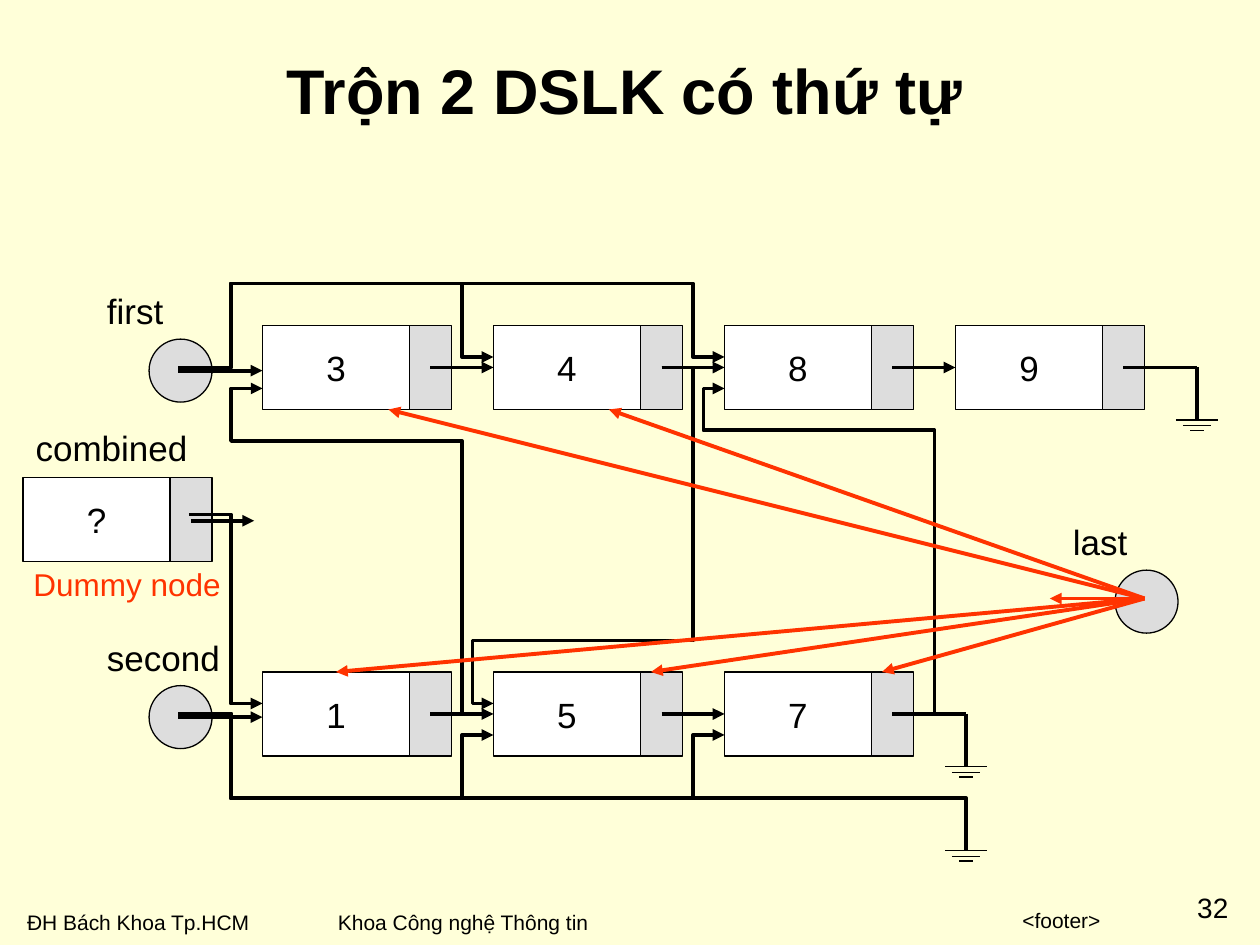
from lxml import etree
from pptx import Presentation
from pptx import util as u
from pptx.dml.color import RGBColor
from pptx.enum import shapes, text
from pptx.oxml.ns import qn

COLORS = {"paper": "FFFFD9", "ink": "000000", "cell": "FFFFFF",
          "link": "DDDDDD", "accent": "FF3300"}
UNIT = u.Inches(1) // 12
COL0, PITCH = 25, 22
TOP, BOTTOM = 31, 64
VALUE_W, LINK_W, NODE_H = 14, 4, 8
DOT = 6


def g(n):
    return u.Emu(round(n * UNIT))


def col(i):
    return COL0 + i * PITCH


def color(name):
    return RGBColor.from_string(COLORS[name])


def write(sp, content, size=20, ink="ink", bold=False, align="LEFT",
          anchor="TOP", wrap=False, grow=False, inset=True):
    tf = sp.text_frame
    tf.word_wrap = wrap
    tf.auto_size = getattr(text.MSO_AUTO_SIZE, "SHAPE_TO_FIT_TEXT" if grow else "NONE")
    tf.vertical_anchor = getattr(text.MSO_ANCHOR, anchor)
    tf.margin_left = tf.margin_right = u.Inches(0.1 if inset else 0)
    tf.margin_top = tf.margin_bottom = u.Inches(0.05 if inset else 0)
    p = tf.paragraphs[0]
    p.alignment = getattr(text.PP_ALIGN, align)
    r = p.add_run()
    r.text = content
    r.font.name, r.font.size, r.font.bold = "Arial", u.Pt(size), bold
    r.font.color.rgb = color(ink)


def label(s, content, x, y, w, h=5.25, **fmt):
    sp = s.shapes.add_textbox(g(x), g(y), g(w), g(h))
    write(sp, content, grow=True, **fmt)


def block(s, kind, x, y, w, h, fill):
    sp = s.shapes.add_shape(kind, g(x), g(y), g(w), g(h))
    sp.shadow.inherit = False
    sp.fill.solid()
    sp.fill.fore_color.rgb = color(fill)
    sp.line.color.rgb = color("ink")
    sp.line.width = u.Pt(0.75)
    return sp


def node(s, value, x, y):
    rect = shapes.MSO_SHAPE.RECTANGLE
    sp = block(s, rect, x, y, VALUE_W, NODE_H, "cell")
    write(sp, value, align="CENTER", anchor="MIDDLE")
    block(s, rect, x + VALUE_W, y, LINK_W, NODE_H, "link")


def pointer(s, name, x, y, dx, dy, w):
    block(s, shapes.MSO_SHAPE.OVAL, x, y, DOT, DOT, "link")
    label(s, name, x + dx, y + dy, w)


def stroke(sp, ink, width, arrow):
    sp.line.color.rgb = color(ink)
    sp.line.width = u.Pt(width)
    if arrow:
        etree.SubElement(sp.line._get_or_add_ln(), qn("a:tailEnd"), type="triangle")


def line(s, x1, y1, x2, y2, ink="ink", width=2.25, arrow=False):
    sp = s.shapes.add_connector(shapes.MSO_CONNECTOR.STRAIGHT, g(x1), g(y1), g(x2), g(y2))
    stroke(sp, ink, width, arrow)
    etree.SubElement(sp._element.spPr, qn("a:effectLst"))


def route(s, *points, arrow=True):
    pts = [(g(x), g(y)) for x, y in points]
    fb = s.shapes.build_freeform(*pts[0])
    fb.add_line_segments(pts[1:], close=False)
    sp = fb.convert_to_shape()
    sp.shadow.inherit = False
    sp.fill.background()
    stroke(sp, "ink", 2.25, arrow)


def ground(s, x, y):
    for half, dy in ((2, 0), (1.35, 0.55), (0.65, 1)):
        line(s, x - half, y + dy, x + half, y + dy, width=0.75)


def linked_list(s, name, values, y, label_w):
    mid = y + 4
    for i, value in enumerate(values):
        node(s, value, col(i), y)
    pointer(s, name, 14.2, y + 1.3, -5.2, -5.3, label_w)
    line(s, 17, mid + 0.3, COL0, mid + 0.3, arrow=True)
    for i in range(len(values) - 1):
        line(s, col(i) + 16, mid, col(i + 1), mid, arrow=True)
    x = col(len(values) - 1) + 16
    line(s, x, mid, x + 7, mid)
    line(s, x + 7, mid, x + 7, mid + 5)
    ground(s, x + 7, mid + 5)


def dummy_node(s):
    node(s, "?", 2.2, 45.5)
    label(s, "Dummy node", 2, 53.2, 20.4, 4.8, size=18, ink="accent")
    label(s, "combined", 2.2, 40, 17.4)
    line(s, 18.2, 49.6, 24.2, 49.6, arrow=True)


def merge_routes(s):
    upper, lower, lane = TOP + 4, BOTTOM + 4, 22
    route(s, (18, 49), (lane, 49), (lane, 67), (COL0, 67))
    for i in (1, 2):
        x = col(i)
        route(s, (17, upper), (lane, upper), (lane, 27), (x - 3, 27),
              (x - 3, 34), (x, 34))
        route(s, (17, lower), (lane, lower), (lane, 76), (x - 3, 76),
              (x - 3, 70), (x, 70))
    route(s, (41, lower), (44, lower), (44, 42), (lane, 42), (lane, 37), (COL0, 37))
    route(s, (63, upper), (66, upper), (66, 61), (45, 61), (45, 67), (47, 67))
    route(s, (85, lower), (89, lower), (89, 41), (67, 41), (67, 37), (69, 37))
    route(s, (18, lower), (lane, lower), (lane, 76), (92, 76), (92, 81), arrow=False)
    ground(s, 92, 81)


def last_pointer(s):
    pointer(s, "last", 106.2, 54.3, -5.2, -5.3, 7.8)
    for x, y in ((100, 57), (32, BOTTOM), (37, 39), (58, 39), (62, BOTTOM), (84, BOTTOM)):
        line(s, 109, 57, x, y, ink="accent", arrow=True)


def footer(s):
    label(s, "ĐH Bách Khoa Tp.HCM", 1.4, 86, 23.8, 3.6, size=12)
    label(s, "<footer>", 38, 85.8, 68, 3.6, size=12, align="RIGHT", wrap=True)
    label(s, "32", 112.9, 84.8, 5.2, 3.2, size=16, align="CENTER", wrap=True, inset=False)
    label(s, "Khoa Công nghệ Thông tin", 31, 86, 26.5, 3.6, size=12)


def main():
    prs = Presentation()
    prs.slide_width, prs.slide_height = u.Inches(10), u.Inches(7.5)
    s = prs.slides.add_slide(prs.slide_layouts[5])
    s.background.fill.solid()
    s.background.fill.fore_color.rgb = color("paper")
    title = s.shapes.title
    title.left, title.top, title.width, title.height = g(11), g(1), g(97), g(15)
    write(title, "Trộn 2 DSLK có thứ tự", size=36, bold=True,
          align="CENTER", anchor="MIDDLE", wrap=True)
    footer(s)
    linked_list(s, "second", "157", BOTTOM, 13.4)
    linked_list(s, "first", "3489", TOP, 8)
    dummy_node(s)
    merge_routes(s)
    last_pointer(s)
    prs.save("out.pptx")


if __name__ == "__main__":
    main()
